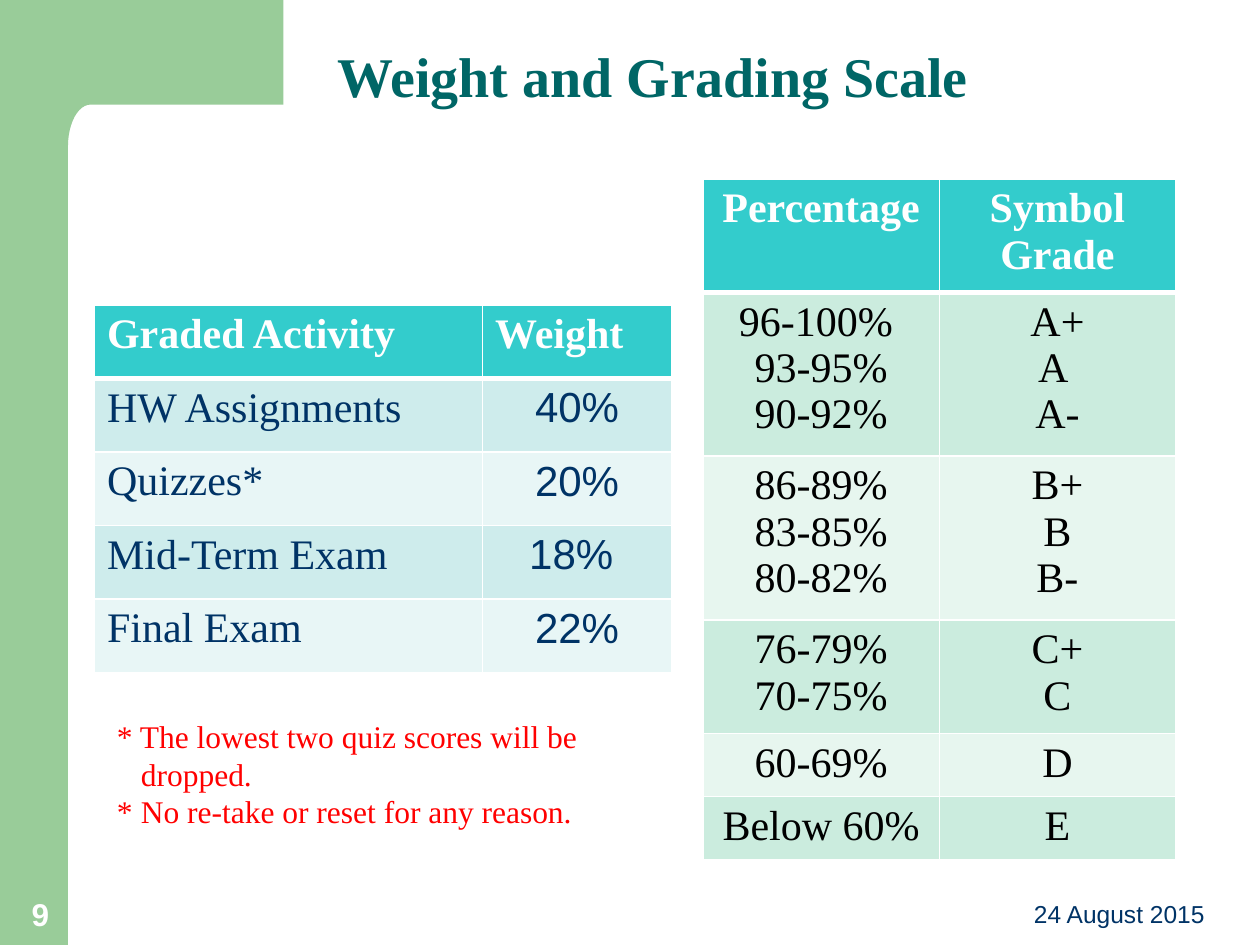
import math

from lxml import etree
from pptx import Presentation
from pptx import util as u
from pptx.dml.color import RGBColor
from pptx.enum import shapes, text
from pptx.oxml.ns import qn

WIDTH, HEIGHT = u.Inches(10), u.Inches(7.5)
SERIF, SANS = "Times New Roman", "Arial"

WHITE = RGBColor(0xFF, 0xFF, 0xFF)
BLACK = RGBColor(0, 0, 0)
RED = RGBColor(0xFF, 0, 0)
NAVY = RGBColor(0x00, 0x33, 0x66)
DARK_TEAL = RGBColor(0x00, 0x66, 0x66)
GREEN = RGBColor(0x99, 0xCC, 0x99)
TURQUOISE = RGBColor(0x33, 0xCC, 0xCC)
MINT_BANDS = (RGBColor(0xCB, 0xEC, 0xDE), RGBColor(0xE7, 0xF6, 0xEF))
AQUA_BANDS = (RGBColor(0xCE, 0xEC, 0xEC), RGBColor(0xE8, 0xF6, 0xF6))

LEFT, CENTER, RIGHT = text.PP_ALIGN.LEFT, text.PP_ALIGN.CENTER, text.PP_ALIGN.RIGHT
TOP, BOTTOM = text.MSO_ANCHOR.TOP, text.MSO_ANCHOR.BOTTOM

GRADES = [
    ("Percentage", "Symbol Grade"),
    ("96-100% \n93-95%\n90-92%", "A+\nA \nA-"),
    ("86-89%\n83-85%\n80-82%", "B+\nB\nB-"),
    ("76-79%\n70-75%", "C+\nC"),
    ("60-69%", "D"),
    ("Below 60%", "E"),
]
WEIGHTS = [
    ("Graded Activity", "Weight"),
    ("HW Assignments", "40%"),
    ("Quizzes*", "20%"),
    ("Mid-Term Exam", "18% "),
    ("Final Exam", "22%"),
]
NOTES = "* The lowest two quiz scores will be dropped.\n*\tNo re-take or reset for any reason."


def style_text(frame, size, color, font=SERIF, bold=False, align=LEFT):
    for paragraph in frame.paragraphs:
        paragraph.alignment = align
        paragraph.font.name = font
        paragraph.font.size = u.Pt(size)
        paragraph.font.bold = bold
        paragraph.font.color.rgb = color


def add_text(slide, box, words, size, color, anchor=BOTTOM, **style):
    shape = slide.shapes.add_textbox(*map(u.Inches, box))
    frame = shape.text_frame
    frame.word_wrap = True
    frame.vertical_anchor = anchor
    frame.text = words
    style_text(frame, size, color, **style)
    return frame


def paint(shape, color):
    shape.shadow.inherit = False
    shape.fill.solid()
    shape.fill.fore_color.rgb = color
    shape.line.fill.background()


def add_frame(slide):
    """Side band plus top-left block with a rounded inner corner."""
    band, block_right, block_bottom, curve_end = 0.54, 2.25, 0.83, 1.16
    radius_x, radius_y = 0.18, curve_end - block_bottom
    paint(slide.shapes.add_shape(shapes.MSO_SHAPE.RECTANGLE, 0, 0, u.Inches(band), HEIGHT), GREEN)
    curve = []
    for step in range(13):
        angle = math.pi / 2 * step / 12
        curve.append((band + radius_x * (1 - math.sin(angle)),
                      curve_end - radius_y * math.cos(angle)))
    curve.sort(key=lambda point: -point[0])
    outline = [(block_right, block_bottom), *curve, (band, 1.28), (0.32, 1.28), (0.32, 0)]
    builder = slide.shapes.build_freeform(u.Inches(block_right), 0)
    builder.add_line_segments([(u.Inches(x), u.Inches(y)) for x, y in outline], close=True)
    paint(builder.convert_to_shape(), GREEN)


def set_borders(cell, top, bottom):
    properties = cell._tc.get_or_add_tcPr()
    for index, (side, points) in enumerate(
            (("lnL", 1), ("lnR", 1), ("lnT", top), ("lnB", bottom))):
        line = etree.Element(qn("a:" + side), w=str(u.Pt(points)))
        fill = etree.SubElement(line, qn("a:solidFill"))
        etree.SubElement(fill, qn("a:srgbClr"), val=str(WHITE))
        properties.insert(index, line)


def add_table(slide, left, top, widths, heights, rows, bands, style_for):
    table = slide.shapes.add_table(
        len(rows), len(widths), u.Inches(left), u.Inches(top),
        u.Inches(sum(widths)), u.Inches(sum(heights))).table
    for column, width in zip(table.columns, widths):
        column.width = u.Inches(width)
    for r, (words, height) in enumerate(zip(rows, heights)):
        table.rows[r].height = u.Inches(height)
        for c, word in enumerate(words):
            cell = table.cell(r, c)
            cell.text = word
            cell.fill.solid()
            cell.fill.fore_color.rgb = bands[(r - 1) % 2] if r else TURQUOISE
            set_borders(cell, top=3 if r == 1 else 1, bottom=1 if r else 3)
            style_text(cell.text_frame, 24, **style_for(r, c))


def grade_style(row, column):
    return dict(color=BLACK if row else WHITE, bold=row == 0, align=CENTER)


def weight_style(row, column):
    if row == 0:
        return dict(color=WHITE, bold=True)
    if column == 0:
        return dict(color=NAVY)
    return dict(color=NAVY, font=SANS, align=CENTER)


def main():
    presentation = Presentation()
    presentation.slide_width, presentation.slide_height = WIDTH, HEIGHT
    slide = presentation.slides.add_slide(presentation.slide_layouts[6])

    # Background frame, date and page number
    add_frame(slide)
    add_text(slide, (7.33, 7, 2.33, 0.42), "24 August 2015", 14, NAVY, font=SANS, align=RIGHT)
    add_text(slide, (0, 6.92, 0.64, 0.53), "9", 18, WHITE, font=SANS, bold=True, align=CENTER)

    # Title
    title = add_text(slide, (2.58, 0.17, 5.42, 0.75), "Weight and Grading Scale",
                     32, DARK_TEAL, bold=True)
    title.paragraphs[0].line_spacing = 0.9

    # Notes with a hanging indent
    notes = add_text(slide, (0.83, 5.64, 4.42, 1.01), NOTES, 18, RED, anchor=TOP)
    for paragraph in notes.paragraphs:
        properties = paragraph._p.get_or_add_pPr()
        properties.set("marL", str(u.Inches(0.19)))
        properties.set("indent", str(-u.Inches(0.19)))

    # Tables
    add_table(slide, 5.58, 1.42, [1.875] * 2, [0.9, 1.3, 1.3, 0.9, 0.5, 0.5],
              GRADES, MINT_BANDS, grade_style)
    add_table(slide, 0.75, 2.42, [3.08, 1.5], [2.92 / len(WEIGHTS)] * len(WEIGHTS),
              WEIGHTS, AQUA_BANDS, weight_style)

    presentation.save("out.pptx")


main()
